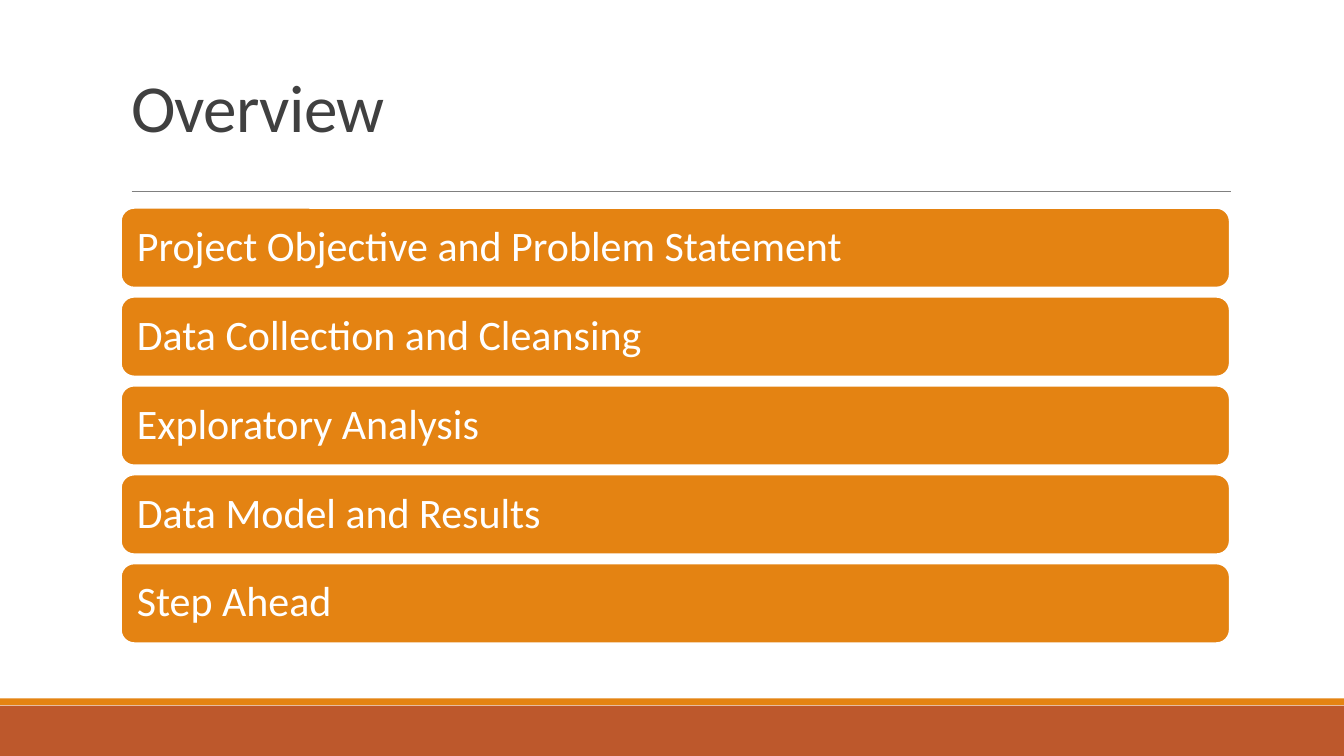
from lxml.etree import SubElement
from pptx import Presentation
from pptx.dml.color import RGBColor
from pptx.enum.shapes import MSO_CONNECTOR as Connector, MSO_SHAPE as Shape
from pptx.enum.text import MSO_ANCHOR as Anchor, MSO_AUTO_SIZE as AutoSize, PP_ALIGN as Align
from pptx.oxml.ns import qn
from pptx.util import Pt

COLORS = {
    "orange": "E48312",
    "rust": "BD582C",
    "rule": "808080",
    "title": "404040",
    "white": "FFFFFF",
}
TOPICS = [
    "Project Objective and Problem Statement",
    "Data Collection and Cleansing",
    "Exploratory Analysis",
    "Data Model and Results",
    "Step Ahead",
]
SLIDE_WIDTH, SLIDE_HEIGHT = 960, 540
CONTENT_LEFT, CONTENT_WIDTH = 86.4, 792
TOPIC_TOP, TOPIC_HEIGHT, TOPIC_PITCH = 148.5, 56.9, 63.5


def color(name):
    return RGBColor.from_string(COLORS[name])


def write_line(frame, text, size, color_name, spacing):
    frame.word_wrap = True
    frame.auto_size = AutoSize.NONE
    frame.vertical_anchor = Anchor.MIDDLE
    paragraph = frame.paragraphs[0]
    paragraph.alignment = Align.LEFT
    paragraph.line_spacing = spacing
    run = paragraph.add_run()
    run.text = text
    run.font.name = "Calibri"
    run.font.size = Pt(size)
    run.font.color.rgb = color(color_name)
    return run


def add_block(slide, kind, left, top, width, height, fill):
    block = slide.shapes.add_shape(kind, Pt(left), Pt(top), Pt(width), Pt(height))
    block.shadow.inherit = False
    block.fill.solid()
    block.fill.fore_color.rgb = color(fill)
    block.line.fill.background()
    return block


def add_title(slide, text):
    title = slide.shapes.title
    title.left, title.top = Pt(CONTENT_LEFT), Pt(22.6)
    title.width, title.height = Pt(CONTENT_WIDTH), Pt(114.2)
    run = write_line(title.text_frame, text, 48, "title", 0.85)
    run.font._element.set("spc", "-50")


def add_rule(slide, left, right, y):
    rule = slide.shapes.add_connector(Connector.STRAIGHT, Pt(left), Pt(y), Pt(right), Pt(y))
    rule.line.color.rgb = color("rule")
    rule.line.width = Pt(0.5)
    SubElement(rule._element.spPr, qn("a:effectLst"))


def add_topic(slide, text, top):
    topic = add_block(slide, Shape.ROUNDED_RECTANGLE, CONTENT_LEFT, top,
                      CONTENT_WIDTH, TOPIC_HEIGHT, "orange")
    topic.line.color.rgb = color("white")
    topic.line.width = Pt(1.25)
    frame = topic.text_frame
    frame.margin_left = frame.margin_right = Pt(8.64)
    frame.margin_top = frame.margin_bottom = Pt(8.64)
    write_line(frame, text, 30, "white", 0.9)


def main():
    """Build the overview slide and save it."""
    deck = Presentation()
    deck.slide_width, deck.slide_height = Pt(SLIDE_WIDTH), Pt(SLIDE_HEIGHT)
    slide = deck.slides.add_slide(deck.slide_layouts[5])
    add_block(slide, Shape.RECTANGLE, 0, 504, SLIDE_WIDTH, 36, "rust")
    add_block(slide, Shape.RECTANGLE, 0, 498.8, SLIDE_WIDTH, 5, "orange")
    add_rule(slide, 94, 879, 136.8)
    add_title(slide, "Overview")
    for index, text in enumerate(TOPICS):
        add_topic(slide, text, TOPIC_TOP + index * TOPIC_PITCH)
    deck.save("out.pptx")


if __name__ == "__main__":
    main()
